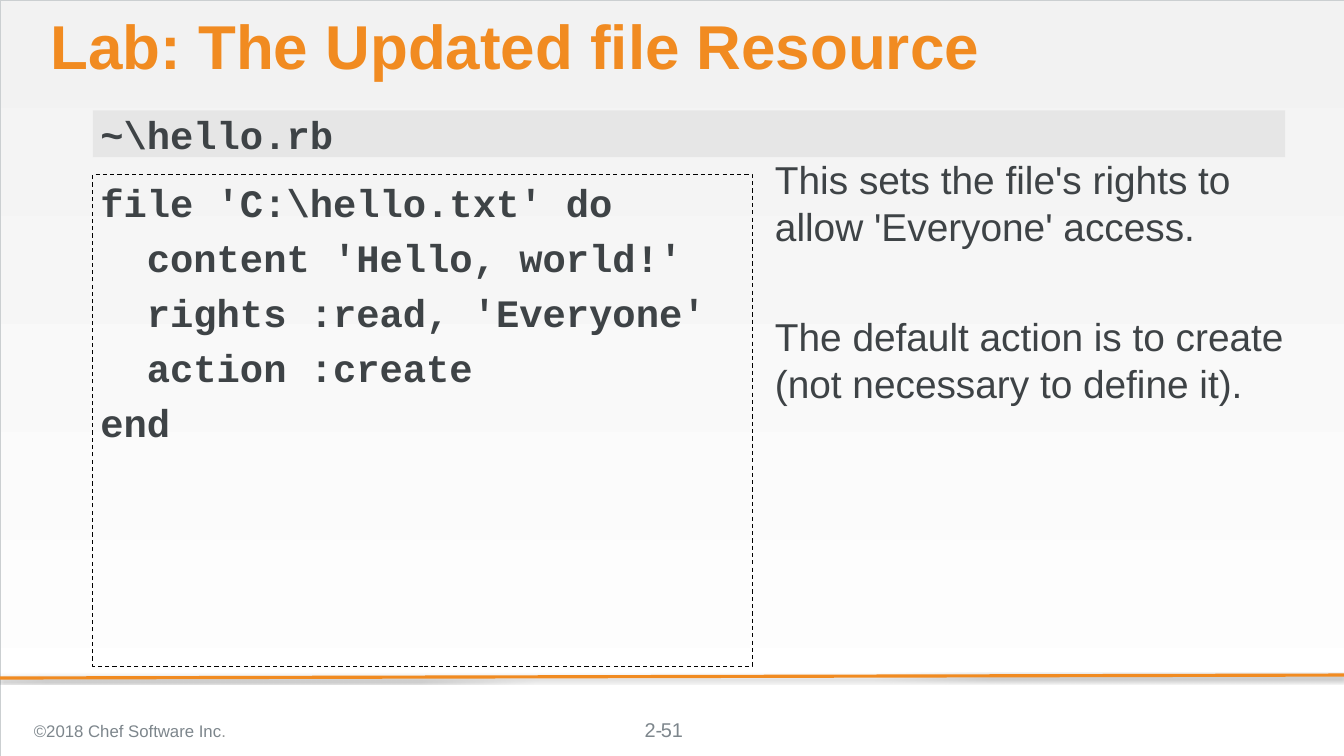
"""Build the lab slide on the updated file resource."""
from lxml import etree
from pptx import Presentation
from pptx.dml.color import RGBColor
from pptx.enum.dml import MSO_LINE
from pptx.enum.shapes import MSO_CONNECTOR, MSO_SHAPE
from pptx.enum.text import MSO_ANCHOR, MSO_AUTO_SIZE, PP_ALIGN
from pptx.oxml.ns import qn
from pptx.util import Cm, Pt

DASH = MSO_LINE.DASH
RECT, STRAIGHT = MSO_SHAPE.RECTANGLE, MSO_CONNECTOR.STRAIGHT
TOP, MIDDLE = MSO_ANCHOR.TOP, MSO_ANCHOR.MIDDLE
LEFT, CENTER = PP_ALIGN.LEFT, PP_ALIGN.CENTER
FIXED = MSO_AUTO_SIZE.NONE

TITLE = ["Lab: The Updated file Resource"]
FILE = ["~\\hello.rb"]
CODE = [
    "file 'C:\\hello.txt' do",
    "  content 'Hello, world!'",
    "  rights :read, 'Everyone'",
    "  action :create",
    "end",
]
NOTES = [
    "This sets the file's rights to allow 'Everyone' access.",
    "The default action is to create (not necessary to define it).",
]
OWNER, STOP = ["©2018 Chef Software Inc"], "."
PART, PAGE = ["2-"], ["51"]

THEME = {
    "sky": "F2F2F2", "base": "FFFFFF", "edge": "CBCFD1", "bar": "D9D9D9",
    "dash": "000000", "shade": "000000", "stop": "929494",
    "title": {"name": "Arial", "size": Pt(59), "bold": True, "color": "F18B21"},
    "code": {"name": "Courier New", "size": Pt(37), "bold": True, "color": "3E4346"},
    "note": {"name": "Arial", "size": Pt(37), "bold": False, "color": "3E4346"},
    "owner": {"name": "Arial", "size": Pt(16), "bold": False, "color": "7D868C"},
    "page": {"name": "Arial", "size": Pt(19), "bold": False, "color": "7D868C"},
}

WIDE, HIGH = 45.16, 25.4
INDENT, RIGHT = 3.12, 43.18
NOTE_X = 26.04
FOOT_Y = 23.83


def rgb(code):
    return RGBColor.from_string(code)


def style(run, look):
    for key, value in look.items():
        if key == "color":
            run.font.color.rgb = rgb(value)
        else:
            setattr(run.font, key, value)


def place(shape, box):
    for key, value in zip(("left", "top", "width", "height"), box):
        setattr(shape, key, Cm(value))


def write(shape, lines, look, pad, anchor=TOP, align=LEFT, pitch=1.0, gap=0):
    frame = shape.text_frame
    form = {"word_wrap": True, "auto_size": FIXED, "vertical_anchor": anchor}
    for side, value in zip(("left", "top", "right", "bottom"), pad):
        form["margin_" + side] = Cm(value)
    for key, value in form.items():
        setattr(frame, key, value)
    for i, line in enumerate(lines):
        para = frame.add_paragraph() if i else frame.paragraphs[0]
        props = para._p.get_or_add_pPr()
        props.set("marL", "0")
        props.set("indent", "0")
        etree.SubElement(props, qn("a:buNone"))
        form = {"alignment": align, "line_spacing": pitch,
                "space_before": Pt(gap if i else 0), "space_after": Pt(0)}
        for key, value in form.items():
            setattr(para, key, value)
        run = para.add_run()
        run.text = line
        style(run, look)


def label(slide, box, *args, **form):
    shape = slide.shapes.add_textbox(*map(Cm, box))
    write(shape, *args, **form)
    return shape


def paint(slide):
    fill = slide.background.fill
    fill.gradient()
    fill.gradient_angle = 270
    for stop, name in zip(fill.gradient_stops, ("sky", "base")):
        stop.color.rgb = rgb(THEME[name])
    edge = slide.shapes.add_shape(RECT, 0, 0, Cm(WIDE), Cm(HIGH))
    edge.shadow.inherit = False
    edge.fill.background()
    edge.line.color.rgb = rgb(THEME["edge"])
    edge.line.width = Pt(0.25)


def rule(slide):
    line = slide.shapes.add_connector(
        STRAIGHT, Cm(WIDE), Cm(22.68), 0, Cm(22.78))
    line.line.color.rgb = rgb(THEME["title"]["color"])
    line.line.width = Pt(3)
    effects = etree.SubElement(line._element.spPr, qn("a:effectLst"))
    shade = etree.SubElement(
        effects, qn("a:outerShdw"), blurRad=str(Pt(3.1)),
        dist=str(Pt(1.8)), dir="5400000", rotWithShape="0")
    tint = etree.SubElement(shade, qn("a:srgbClr"), val=THEME["shade"])
    etree.SubElement(tint, qn("a:alpha"), val="35000")


def body(slide):
    title, bar, code, notes, spare = slide.placeholders
    spare._element.getparent().remove(spare._element)
    place(title, (1.7, 0.53, 41.48, 2.31))
    write(title, TITLE, THEME["title"], (0, 0, 0, 0), pitch=0.9)

    place(bar, (INDENT, 3.71, RIGHT - INDENT, 1.57))
    write(bar, FILE, THEME["code"], (0.25, 0, 0, 0))
    bar.fill.solid()
    bar.fill.fore_color.rgb = rgb(THEME["bar"])
    tint = bar._element.spPr.find(".//" + qn("a:srgbClr"))
    etree.SubElement(tint, qn("a:alpha"), val="50000")

    place(code, (INDENT, 5.87, 22.17, 16.51))
    write(code, CODE, THEME["code"], (0.25, 0.13, 0.25, 0.13), gap=8)
    code.line.color.rgb = rgb(THEME["dash"])
    code.line.width = Pt(1)
    code.line.dash_style = DASH

    place(notes, (NOTE_X, 5.23, RIGHT - NOTE_X, 17.48))
    write(notes, NOTES, THEME["note"], (0, 0, 0, 0), gap=61)


def foot(slide):
    pad = (0.25, 0.13, 0.25, 0.13)
    owner = label(slide, (0.89, FOOT_Y, 15.77, 1.42), OWNER, THEME["owner"],
                  pad, anchor=MIDDLE)
    run = owner.text_frame.paragraphs[0].add_run()
    run.text = STOP
    style(run, {**THEME["owner"], "color": THEME["stop"]})
    label(slide, (21.66, 24.1, 2.03, 0.81), PART, THEME["page"], (0, 0, 0, 0))
    label(slide, (17.5, FOOT_Y, 10.16, 1.35), PAGE, THEME["page"], pad,
          anchor=MIDDLE, align=CENTER)


def main():
    deck = Presentation()
    deck.slide_width, deck.slide_height = Cm(WIDE), Cm(HIGH)
    slide = deck.slides.add_slide(deck.slide_layouts[4])
    for draw in (paint, rule, body, foot):
        draw(slide)
    deck.save("out.pptx")


if __name__ == "__main__":
    main()
